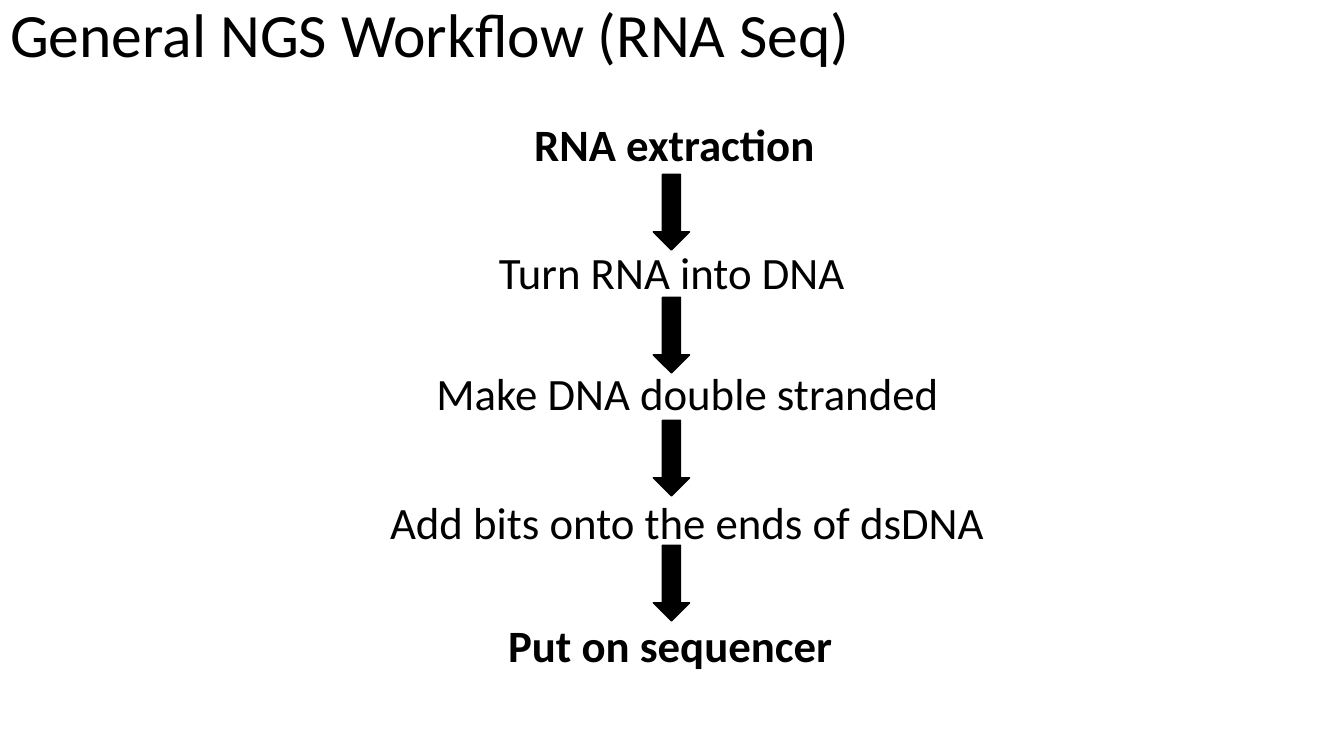
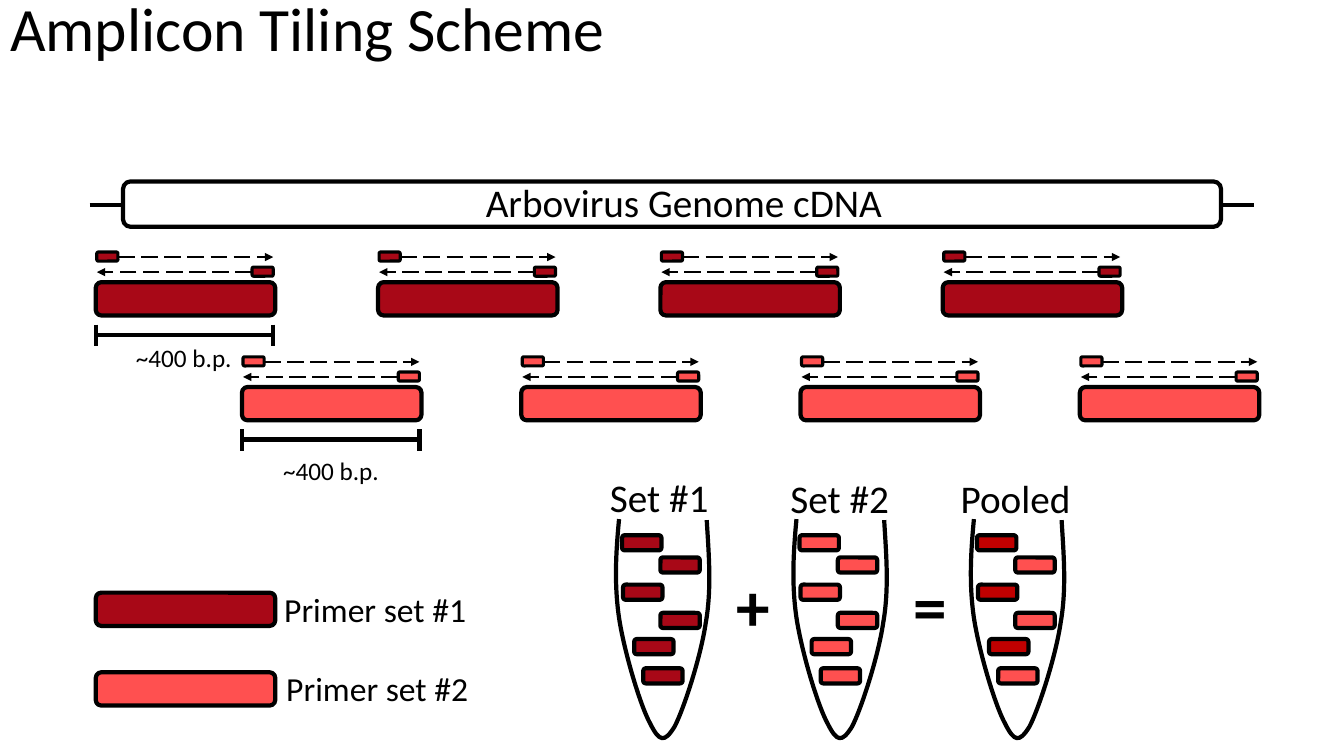
from lxml import etree
from pptx import Presentation
from pptx.dml.color import RGBColor
from pptx.enum.dml import MSO_LINE
from pptx.enum.shapes import MSO_CONNECTOR, MSO_SHAPE
from pptx.enum.text import MSO_ANCHOR, PP_ALIGN
from pptx.oxml.ns import qn
from pptx.util import Inches, Pt

BLACK = RGBColor(0x00, 0x00, 0x00)
WHITE = RGBColor(0xFF, 0xFF, 0xFF)
DARK = RGBColor(0xA8, 0x08, 0x17)
LIGHT = RGBColor(0xFF, 0x50, 0x50)
RED = RGBColor(0xC0, 0x00, 0x00)
FONT = "Calibri"
ROUND = MSO_SHAPE.ROUNDED_RECTANGLE
DOWN = MSO_SHAPE.DOWN_ARROW
STRAIGHT = MSO_CONNECTOR.STRAIGHT
DASH = MSO_LINE.LONG_DASH
LEFT = PP_ALIGN.LEFT
TOP = MSO_ANCHOR.TOP


def add_box(slide, kind, x, y, w, h, fill, width=3):
    box = slide.shapes.add_shape(kind, Inches(x), Inches(y), Inches(w), Inches(h))
    box.shadow.inherit = False
    box.fill.solid()
    box.fill.fore_color.rgb = fill
    box.line.color.rgb = BLACK
    box.line.width = Pt(width)


def add_line(slide, x1, y1, x2, y2, arrow=False):
    line = slide.shapes.add_connector(
        STRAIGHT, Inches(x1), Inches(y1), Inches(x2), Inches(y2))
    line.line.color.rgb = BLACK
    line.line.width = Pt(1.5 if arrow else 3)
    props = line._element.spPr
    if arrow:
        line.line.dash_style = DASH
        etree.SubElement(props.find(qn("a:ln")), qn("a:tailEnd"), type="triangle")
    etree.SubElement(props, qn("a:effectLst"))


deck = Presentation()
deck.slide_width = Inches(13.33)
deck.slide_height = Inches(7.5)

# Slides and titles
slides = []
for name, top in (("General NGS Workflow (RNA Seq)", -0.01),
                  ("Amplicon Tiling Scheme", -0.07)):
    slide = deck.slides.add_slide(deck.slide_layouts[5])
    title = slide.shapes.title
    title.left, title.top = Inches(0), Inches(top)
    title.width, title.height = Inches(11.5), Inches(1.45)
    frame = title.text_frame
    frame.text = name
    frame.vertical_anchor = TOP
    para = frame.paragraphs[0]
    para.alignment = LEFT
    para.line_spacing = 0.9
    font = para.runs[0].font
    font.name, font.size = FONT, Pt(44)
    font.color.rgb = BLACK
    slides.append(slide)
flow, tiling = slides

# Workflow arrows
for y in (1.73, 2.95, 4.17, 5.41):
    add_box(flow, DOWN, 6.48, y, 0.36, 0.75, BLACK, 1)

# Genome bar with its two ends
add_box(tiling, ROUND, 1.22, 1.8, 10.89, 0.45, WHITE)
for x in (0.89, 12.11):
    add_line(tiling, x, 2.03, x + 0.33, 2.03)

# Two rows of amplicons, each with a primer pair above
BAR_W, BAR_H = 1.78, 0.33
for left, y, pitch, color in ((0.95, 2.8, 2.8, DARK), (2.4, 3.84, 2.77, LIGHT)):
    for i in range(4):
        x = left + i * pitch
        add_box(tiling, ROUND, x, y, BAR_W, BAR_H, color)
        start, end = x + 0.01, x + 1.76
        add_box(tiling, ROUND, start, y - 0.3, 0.21, 0.09, color, 2.25)
        add_box(tiling, ROUND, end - 0.21, y - 0.15, 0.21, 0.09, color, 2.25)
        add_line(tiling, end - 0.21, y - 0.1, start, y - 0.1, True)
        add_line(tiling, start + 0.21, y - 0.25, end, y - 0.25, True)
    # Length bracket below the first amplicon
    right = left + 1.76
    for x in (left, right):
        add_line(tiling, x, y + 0.42, x, y + 0.63)
    add_line(tiling, left, y + 0.52, right, y + 0.52)

# Legend bars
for y, color in ((5.88, DARK), (6.67, LIGHT)):
    add_box(tiling, ROUND, 0.95, y, BAR_W, BAR_H, color)

# Tubes: Bezier outline (x from the tube's left edge) and primers inside
CURVE = [(0.03, 5.15), (0, 5.47), (-0.02, 5.79), (0.03, 6.13),
         (0.08, 6.46), (0.24, 7), (0.34, 7.18),
         (0.43, 7.36), (0.48, 7.37), (0.58, 7.21),
         (0.67, 7.04), (0.84, 6.52), (0.89, 6.18),
         (0.95, 5.84), (0.92, 5.5), (0.9, 5.16)]
PILLS = [[(0.06, 5.31), (0.07, 5.8), (0.18, 6.34)],
         [(0.44, 5.53), (0.44, 6.08), (0.27, 6.63)]]
for i, colors in enumerate(((DARK, DARK), (LIGHT, LIGHT), (RED, LIGHT))):
    left = 6.11 + i * 1.76
    points = [(Inches(left + x), Inches(y)) for x, y in CURVE]
    draft = tiling.shapes.build_freeform(*points[0])
    draft.add_line_segments(points[1:], close=False)
    tube = draft.convert_to_shape()
    # Every three segments become one cubic curve
    parts = list(tube._element.iter(qn("a:lnTo")))
    for k in range(0, len(parts), 3):
        curve = etree.Element(qn("a:cubicBezTo"))
        parts[k].addprevious(curve)
        for part in parts[k:k + 3]:
            curve.append(part[0])
            part.getparent().remove(part)
    tube.shadow.inherit = False
    tube.fill.solid()
    tube.fill.fore_color.rgb = WHITE
    tube.line.color.rgb = BLACK
    tube.line.width = Pt(3)
    for spots, color in zip(PILLS, colors):
        for x, y in spots:
            add_box(tiling, ROUND, left + x, y, 0.39, 0.15, color)

# Labels: slide, text, left, top, width, height, size, bold
LABELS = [
    (flow, "RNA extraction", 5.2, 1.11, 3.01, 0.64, 32, True),
    (flow, "Turn RNA into DNA", 4.85, 2.38, 3.7, 0.64, 32, False),
    (flow, "Make DNA double stranded", 4.23, 3.58, 5.23, 0.64, 32, False),
    (flow, "Add bits onto the ends of dsDNA", 3.77, 4.86, 6.16, 0.64, 32, False),
    (flow, "Put on sequencer", 4.94, 6.08, 3.45, 0.64, 32, True),
    (tiling, "Arbovirus Genome cDNA", 4.72, 1.72, 4.18, 0.57, 28, False),
    (tiling, "~400 b.p.", 1.25, 3.35, 1.16, 0.4, 18, False),
    (tiling, "~400 b.p.", 2.71, 4.47, 1.16, 0.4, 18, False),
    (tiling, "Primer set #1", 2.72, 5.79, 2.02, 0.5, 24, False),
    (tiling, "Primer set #2", 2.74, 6.58, 2.02, 0.5, 24, False),
    (tiling, "Set #1", 5.95, 4.65, 1.23, 0.57, 28, False),
    (tiling, "Set #2", 7.74, 4.66, 1.23, 0.57, 28, False),
    (tiling, "Pooled", 9.43, 4.66, 1.37, 0.57, 28, False),
    (tiling, "+", 7.21, 5.55, 0.54, 0.91, 48, True),
    (tiling, "=", 8.96, 5.55, 0.54, 0.91, 48, True),
]
for slide, text, x, y, w, h, size, bold in LABELS:
    label = slide.shapes.add_textbox(Inches(x), Inches(y), Inches(w), Inches(h))
    frame = label.text_frame
    frame.word_wrap = True
    frame.text = text
    font = frame.paragraphs[0].runs[0].font
    font.name, font.size, font.bold = FONT, Pt(size), bold
    font.color.rgb = BLACK

deck.save("out.pptx")
